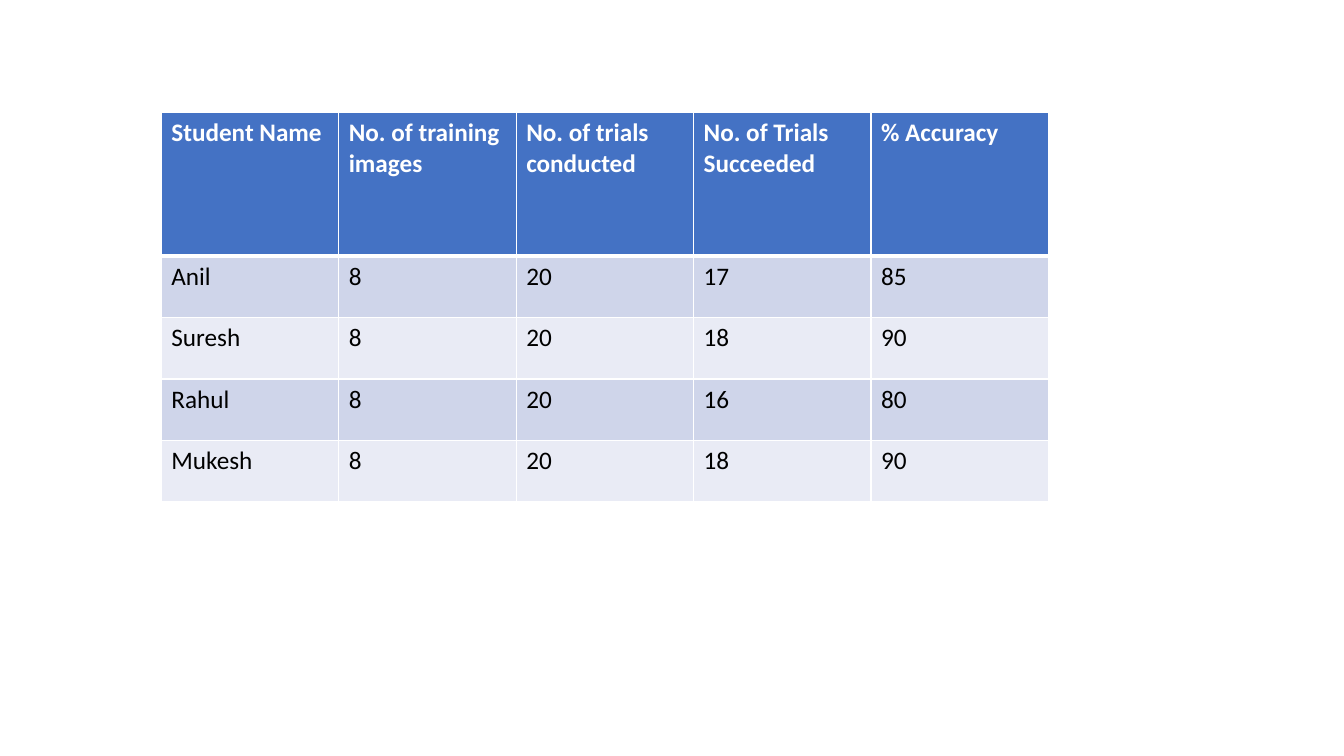
from lxml import etree
from pptx import Presentation
from pptx import util as u
from pptx.dml.color import RGBColor
from pptx.oxml.ns import qn

HEADINGS = ["Student Name", "No. of training images", "No. of trials conducted",
            "No. of Trials Succeeded", "% Accuracy"]
RESULTS = [
    ("Anil", 8, 20, 17, 85),
    ("Suresh", 8, 20, 18, 90),
    ("Rahul", 8, 20, 16, 80),
    ("Mukesh", 8, 20, 18, 90),
]
COLORS = {"header": "4472C4", "odd": "CFD5EA", "even": "E9EBF5",
          "white": "FFFFFF", "black": "000000"}
FONT, TEXT_SIZE = "Calibri", 18
LEFT, TOP = 1.6, 1.12
COLUMN_WIDTH, HEADER_HEIGHT, ROW_HEIGHT = 1.76, 1.42, 0.61
THIN, THICK = 1, 3


def add_border(cell, side, points):
    line = etree.SubElement(cell._tc.get_or_add_tcPr(), qn(f"a:ln{side}"),
                            w=str(u.Pt(points)))
    fill = etree.SubElement(line, qn("a:solidFill"))
    etree.SubElement(fill, qn("a:srgbClr"), val=COLORS["white"])


def format_cell(cell, value, row):
    header = row == 0
    widths = {"L": THIN, "R": THIN, "T": THICK if row == 1 else THIN,
              "B": THICK if header else THIN}
    for side, points in widths.items():
        add_border(cell, side, points)
    shade = "header" if header else "odd" if row % 2 else "even"
    cell.fill.solid()
    cell.fill.fore_color.rgb = RGBColor.from_string(COLORS[shade])
    span = cell.text_frame.paragraphs[0].add_run()
    span.text = str(value)
    span.font.name = FONT
    span.font.size = u.Pt(TEXT_SIZE)
    span.font.bold = header
    span.font.color.rgb = RGBColor.from_string(COLORS["white" if header else "black"])


def main():
    deck = Presentation()
    deck.slide_width, deck.slide_height = u.Inches(13.33), u.Inches(7.5)
    page = deck.slides.add_slide(deck.slide_layouts[6])
    rows = [HEADINGS, *RESULTS]
    heights = [HEADER_HEIGHT] + [ROW_HEIGHT] * len(RESULTS)
    table = page.shapes.add_table(
        len(rows), len(HEADINGS), u.Inches(LEFT), u.Inches(TOP),
        u.Inches(COLUMN_WIDTH * len(HEADINGS)), u.Inches(sum(heights))).table
    for column in table.columns:
        column.width = u.Inches(COLUMN_WIDTH)
    for row, (values, height) in enumerate(zip(rows, heights)):
        table.rows[row].height = u.Inches(height)
        for column, value in enumerate(values):
            format_cell(table.cell(row, column), value, row)
    deck.save("out.pptx")


if __name__ == "__main__":
    main()
